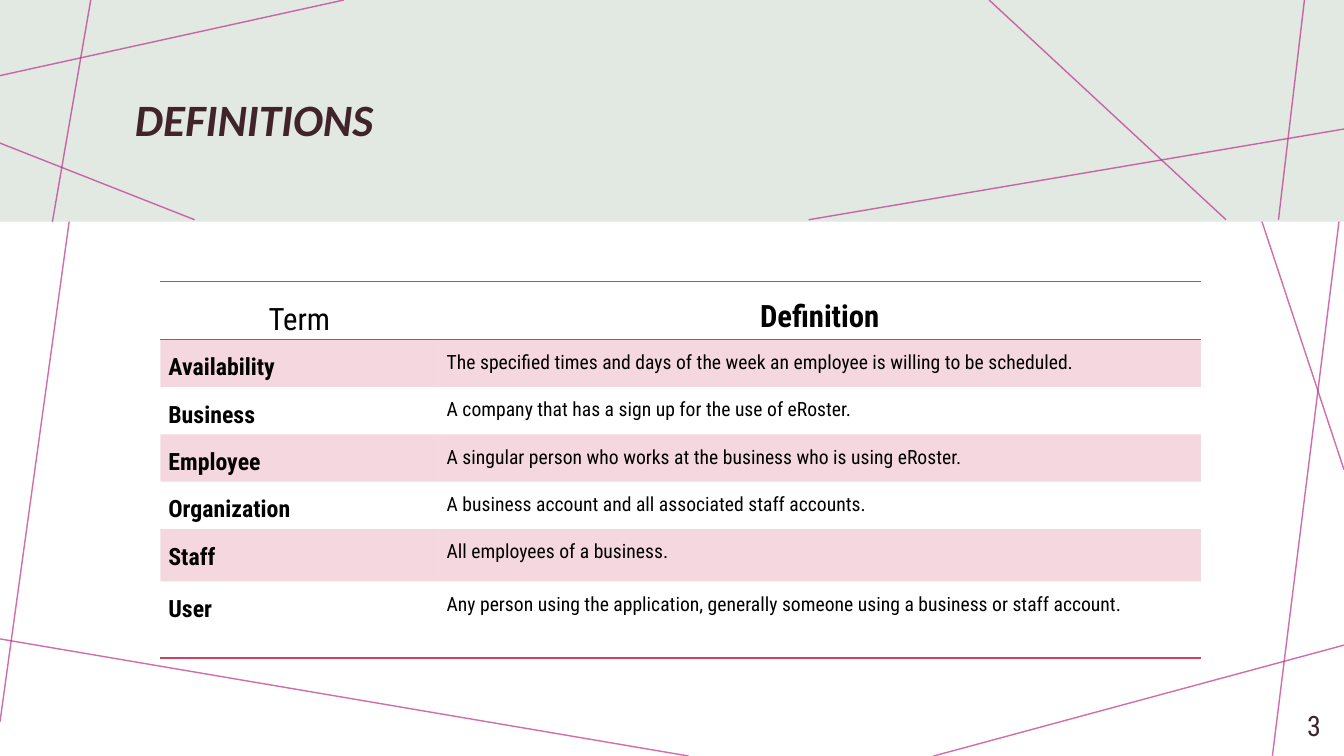
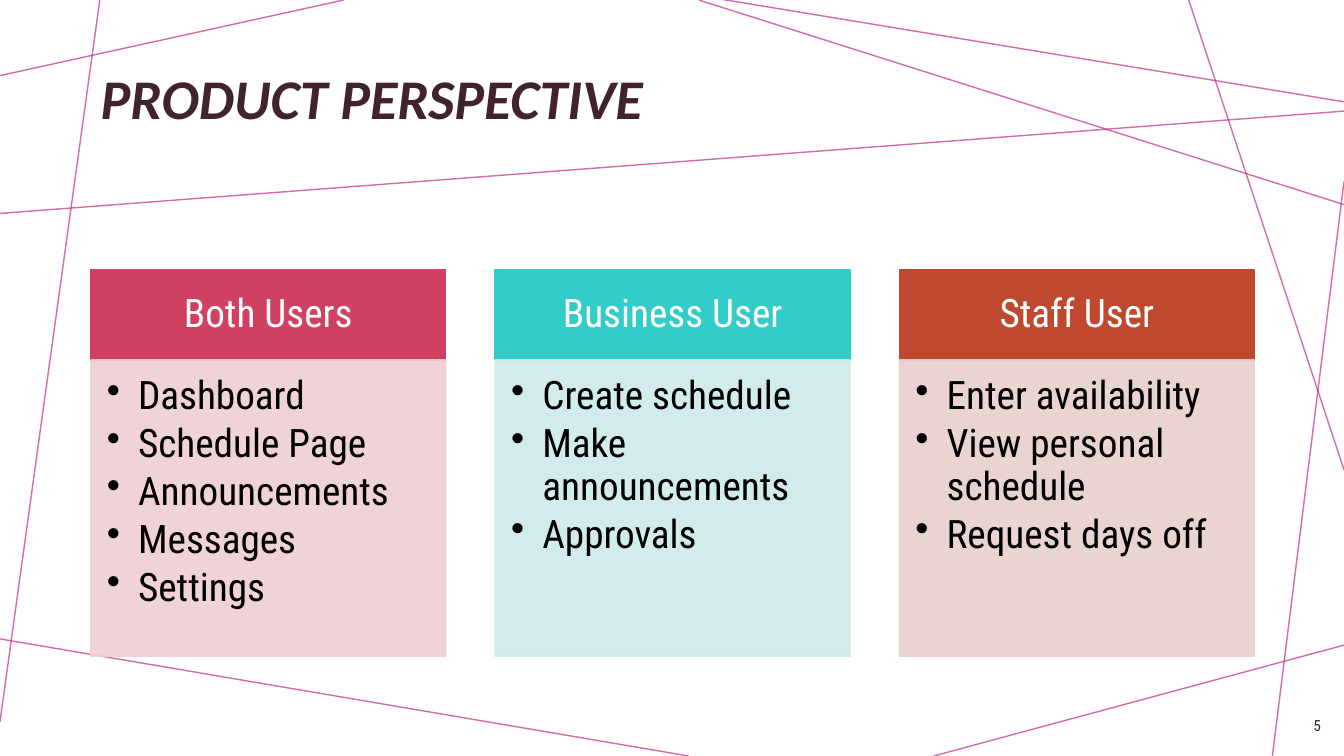
from dataclasses import dataclass
from typing import Any, NamedTuple

from lxml import etree
from pptx import Presentation
from pptx import slide as sld
from pptx import util as u
from pptx.dml import color as dc
from pptx.enum import shapes as es, text as et
from pptx.oxml import ns


@dataclass(frozen=True)
class Theme:
    ink: str = "41242B"
    black: str = "000000"
    white: str = "FFFFFF"
    line: str = "BE2E8B"
    band: str = "E2E8E2"
    rose: str = "D04061"
    teal: str = "32CCC9"
    rust: str = "BE492E"
    pale_rose: str = "EECFD2"
    pale_teal: str = "CEEBEA"
    pale_rust: str = "E8D0CD"
    title_font: str = "Calibri"
    body_font: str = "Roboto Condensed"
    panel_size: int = 28
    head_size: int = 22
    term_size: int = 17
    meaning_size: int = 14


class Box(NamedTuple):
    x: float
    y: float
    w: float
    h: float


class Segment(NamedTuple):
    x1: float
    y1: float
    x2: float
    y2: float


class Panel(NamedTuple):
    heading: str
    items: list[str]
    dark: str
    pale: str


class Entry(NamedTuple):
    term: str
    meaning: str
    height: float = 0.47


T = Theme()
NUMBER_BOX = Box(12.69, 7, 0.51, 0.4)
PANEL_X, PANEL_STEP, PANEL_W = 0.9, 4.01, 3.52
HEAD_Y, BODY_Y, BODY_H = 2.68, 3.57, 2.94

BACKDROP = [
    Segment(3.41, 0, 0, 0.75),
    Segment(0.99, 0, 0, 7.16),
    Segment(6.83, 7.5, -0.05, 6.33),
    Segment(13.33, 6.4, 9.26, 7.5),
    Segment(13.33, 1.8, 12.62, 7.5),
    Segment(13.33, 4.66, 11.79, 0),
    Segment(13.33, 1.01, 7.14, -0.01),
]
BAND_LINES = [
    Segment(3.41, 0, 0, 0.75),
    Segment(0.9, 0, 0.52, 2.2),
    Segment(1.93, 2.18, 0, 1.42),
    Segment(13.33, 1.28, 8.02, 2.18),
    Segment(12.16, 2.18, 9.81, 0),
    Segment(12.94, -0.02, 12.68, 2.18),
]
TOP_LINES = [Segment(6.93, 0, 13.33, 2.03), Segment(-0.03, 2.12, 13.36, 1.1)]

ENTRIES = [
    Entry("Availability", "The specified times and days of the week an employee is willing to be scheduled."),
    Entry("Business", "A company that has a sign up for the use of eRoster."),
    Entry("Employee", "A singular person who works at the business who is using eRoster."),
    Entry("Organization", "A business account and all associated staff accounts."),
    Entry("Staff", "All employees of a business.", 0.52),
    Entry("User", "Any person using the application, generally someone using a business or staff account.", 0.76),
]
PANELS = [
    Panel("Both Users", ["Dashboard", "Schedule Page", "Announcements", "Messages", "Settings"],
          T.rose, T.pale_rose),
    Panel("Business User", ["Create schedule", "Make announcements", "Approvals"],
          T.teal, T.pale_teal),
    Panel("Staff User", ["Enter availability", "View personal schedule", "Request days off"],
          T.rust, T.pale_rust),
]


def rgb(value: str) -> dc.RGBColor:
    return dc.RGBColor.from_string(value)


def apply(target: Any, values: dict[str, Any]) -> None:
    for name, value in values.items():
        setattr(target, name, value)


def inches(box: tuple) -> list[u.Length]:
    return [u.Inches(v) for v in box]


def margins(left: float, top: float, right: float, bottom: float) -> dict[str, u.Length]:
    sides = ("left", "top", "right", "bottom")
    return {f"margin_{side}": u.Inches(v) for side, v in zip(sides, (left, top, right, bottom))}


def set_alpha(element: etree._Element, percent: int) -> None:
    for clr in element.iter(ns.qn("a:srgbClr")):
        etree.SubElement(clr, ns.qn("a:alpha"), val=str(percent * 1000))


def write(p: Any, text: str, size: float, color: str, font: str = T.body_font,
          para: dict[str, Any] | None = None, **style: Any) -> None:
    apply(p, para or {})
    r = p.add_run()
    r.text = text
    apply(r.font, {"name": font, "size": u.Pt(size), **style})
    r.font.color.rgb = rgb(color)


def add_bullet(p: Any) -> None:
    ppr = p._p.get_or_add_pPr()
    indent = u.Inches(0.31)
    ppr.set("marL", str(indent))
    ppr.set("indent", str(-indent))
    etree.SubElement(ppr, ns.qn("a:buChar"), char="•")


def add_lines(s: sld.Slide, segments: list[Segment]) -> None:
    for seg in segments:
        c = s.shapes.add_connector(es.MSO_CONNECTOR.STRAIGHT, *inches(seg))
        c.line.width = u.Pt(1)
        c.line.color.rgb = rgb(T.line)
        props = c._element.spPr
        set_alpha(props, 70)
        etree.SubElement(props, ns.qn("a:effectLst"))


def add_rect(s: sld.Slide, box: Box, fill: str, outlined: bool = False) -> Any:
    sp = s.shapes.add_shape(es.MSO_SHAPE.RECTANGLE, *inches(box))
    sp.shadow.inherit = False
    sp.fill.solid()
    sp.fill.fore_color.rgb = rgb(fill)
    if outlined:
        sp.line.width = u.Pt(1)
        sp.line.color.rgb = rgb(fill)
    else:
        sp.line.fill.background()
    return sp


def add_text(s: sld.Slide, box: Box, text: str, size: float, font: str,
             para: dict[str, Any], **style: Any) -> None:
    tf = s.shapes.add_textbox(*inches(box)).text_frame
    apply(tf, {"word_wrap": True, "vertical_anchor": et.MSO_ANCHOR.MIDDLE})
    write(tf.paragraphs[0], text, size, T.ink, font, para, **style)


def add_title(s: sld.Slide, box: Box, text: str, size: float) -> None:
    add_text(s, box, text, size, T.title_font, {"line_spacing": 0.9}, bold=True, italic=True)


def add_number(s: sld.Slide, number: int, size: float) -> None:
    para = {"alignment": et.PP_ALIGN.RIGHT, "space_after": u.Pt(6)}
    add_text(s, NUMBER_BOX, str(number), size, T.body_font, para)


def add_border(cell: Any, tag: str) -> None:
    ln = etree.Element(ns.qn(tag), w=str(u.Pt(1)))
    fill = etree.SubElement(ln, ns.qn("a:solidFill"))
    etree.SubElement(fill, ns.qn("a:srgbClr"), val=T.rose)
    cell._tc.get_or_add_tcPr().insert(0, ln)


def fill_cell(cell: Any, text: str, size: float, align: Any, bold: bool,
              tinted: bool, borders: tuple[str, ...]) -> None:
    apply(cell, margins(0.08, 0, 0.08, 0))
    if tinted:
        cell.fill.solid()
        cell.fill.fore_color.rgb = rgb(T.rose)
        set_alpha(cell._tc.get_or_add_tcPr(), 20)
    else:
        cell.fill.background()
    for tag in borders:
        add_border(cell, tag)
    write(cell.text_frame.paragraphs[0], text, size, T.black,
          para={"alignment": align, "line_spacing": 1.5}, bold=bold)


def add_glossary(s: sld.Slide) -> None:
    rows = [Entry("Term", "Definition", 0.58), *ENTRIES]
    box = Box(1.59, 2.79, 10.32, sum(row.height for row in rows))
    tbl = s.shapes.add_table(len(rows), 2, *inches(box)).table
    apply(tbl, {"first_row": False, "horz_banding": False})
    style = tbl._tbl.tblPr.find(ns.qn("a:tableStyleId"))
    style.text = "{2D5ABB26-0587-4C30-8999-92F81FD0307C}"
    for col, width in zip(tbl.columns, (2.76, 7.56)):
        col.width = u.Inches(width)
    align = et.PP_ALIGN
    for i, row in enumerate(rows):
        tbl.rows[i].height = u.Inches(row.height)
        head = i == 0
        borders = ("a:lnB", "a:lnT") if head else ("a:lnB",) if i == len(rows) - 1 else ()
        tinted = i % 2 == 1
        fill_cell(tbl.cell(i, 0), row.term, T.head_size if head else T.term_size,
                  align.CENTER if head else align.LEFT, not head, tinted, borders)
        fill_cell(tbl.cell(i, 1), row.meaning, T.head_size if head else T.meaning_size,
                  align.CENTER if head else align.JUSTIFY, head, tinted, borders)
    tbl.cell(0, 0).vertical_anchor = et.MSO_ANCHOR.MIDDLE


def add_panel(s: sld.Slide, x: float, panel: Panel) -> None:
    head = add_rect(s, Box(x, HEAD_Y, PANEL_W, BODY_Y - HEAD_Y), panel.dark, outlined=True)
    tf = head.text_frame
    apply(tf, {"word_wrap": True, "vertical_anchor": et.MSO_ANCHOR.MIDDLE,
               **margins(0.22, 0.12, 0.22, 0.12)})
    write(tf.paragraphs[0], panel.heading, T.panel_size, T.white,
          para={"alignment": et.PP_ALIGN.CENTER, "line_spacing": 0.9})

    body = add_rect(s, Box(x, BODY_Y, PANEL_W, BODY_H), panel.pale, outlined=True)
    set_alpha(body._element.spPr, 90)
    tf = body.text_frame
    apply(tf, {"word_wrap": True, "vertical_anchor": et.MSO_ANCHOR.TOP,
               **margins(0.16, 0.16, 0.22, 0.24)})
    para = {"alignment": et.PP_ALIGN.LEFT, "line_spacing": 0.9, "space_after": u.Pt(4)}
    for i, item in enumerate(panel.items):
        p = tf.add_paragraph() if i else tf.paragraphs[0]
        write(p, item, T.panel_size, T.black, para=para)
        add_bullet(p)


def new_slide(prs: Any) -> sld.Slide:
    s = prs.slides.add_slide(prs.slide_layouts[6])
    s.background.fill.solid()
    s.background.fill.fore_color.rgb = rgb(T.white)
    add_lines(s, BACKDROP)
    return s


def build_definitions(prs: Any) -> None:
    s = new_slide(prs)
    add_rect(s, Box(0, 0, 13.33, 2.2), T.band)
    add_lines(s, BAND_LINES)
    add_title(s, Box(1.24, 0.54, 11.01, 1.34), "DEFINITIONS", 32)
    add_number(s, 3, 20)
    add_glossary(s)


def build_perspective(prs: Any) -> None:
    s = new_slide(prs)
    add_title(s, Box(0.9, 0.46, 9.03, 1.1), "PRODUCT PERSPECTIVE", 40)
    add_lines(s, TOP_LINES)
    add_number(s, 5, 11)
    for i, panel in enumerate(PANELS):
        add_panel(s, PANEL_X + i * PANEL_STEP, panel)


def main() -> None:
    prs = Presentation()
    apply(prs, {"slide_width": u.Inches(13.33), "slide_height": u.Inches(7.5)})
    build_definitions(prs)
    build_perspective(prs)
    prs.save("out.pptx")


if __name__ == "__main__":
    main()
